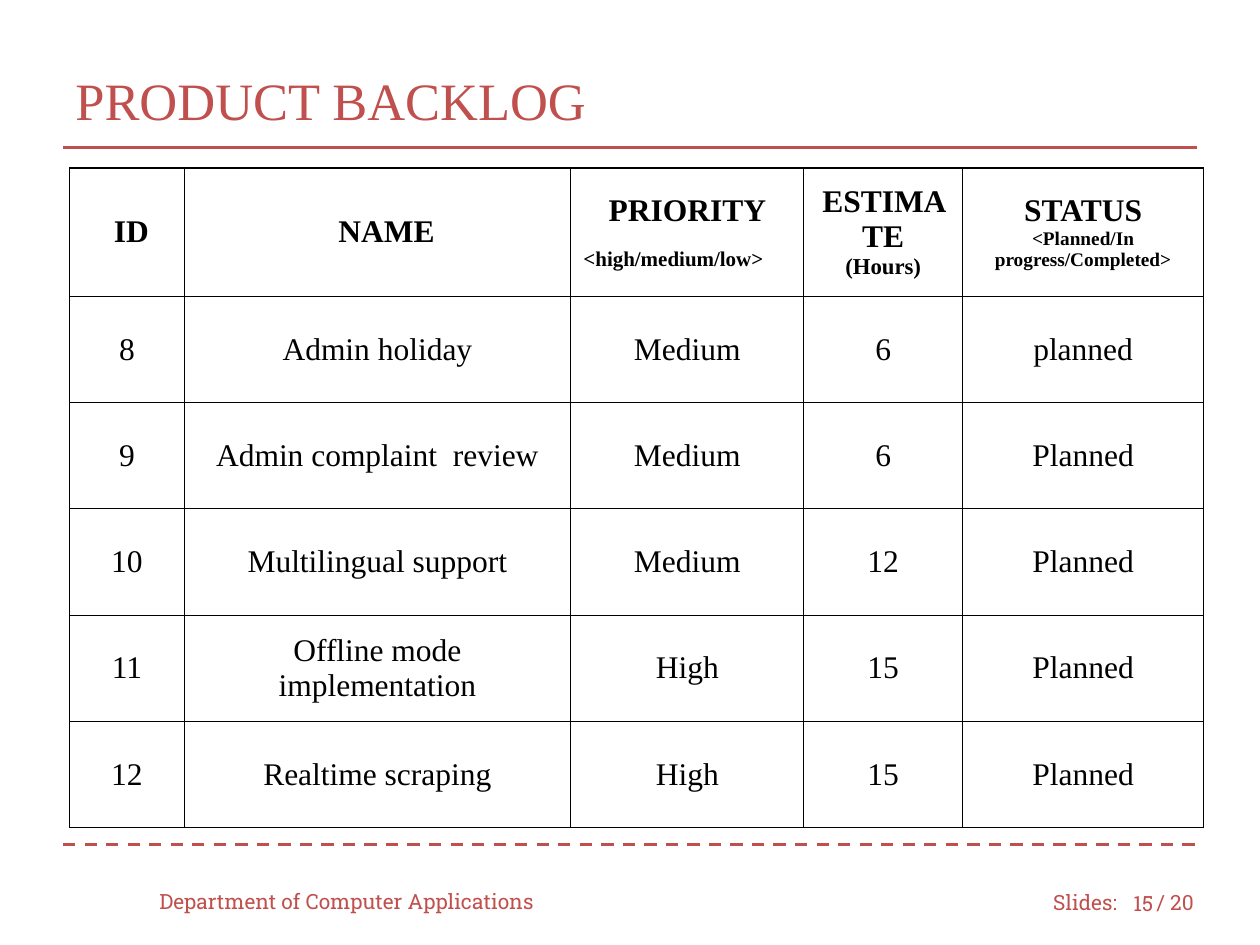
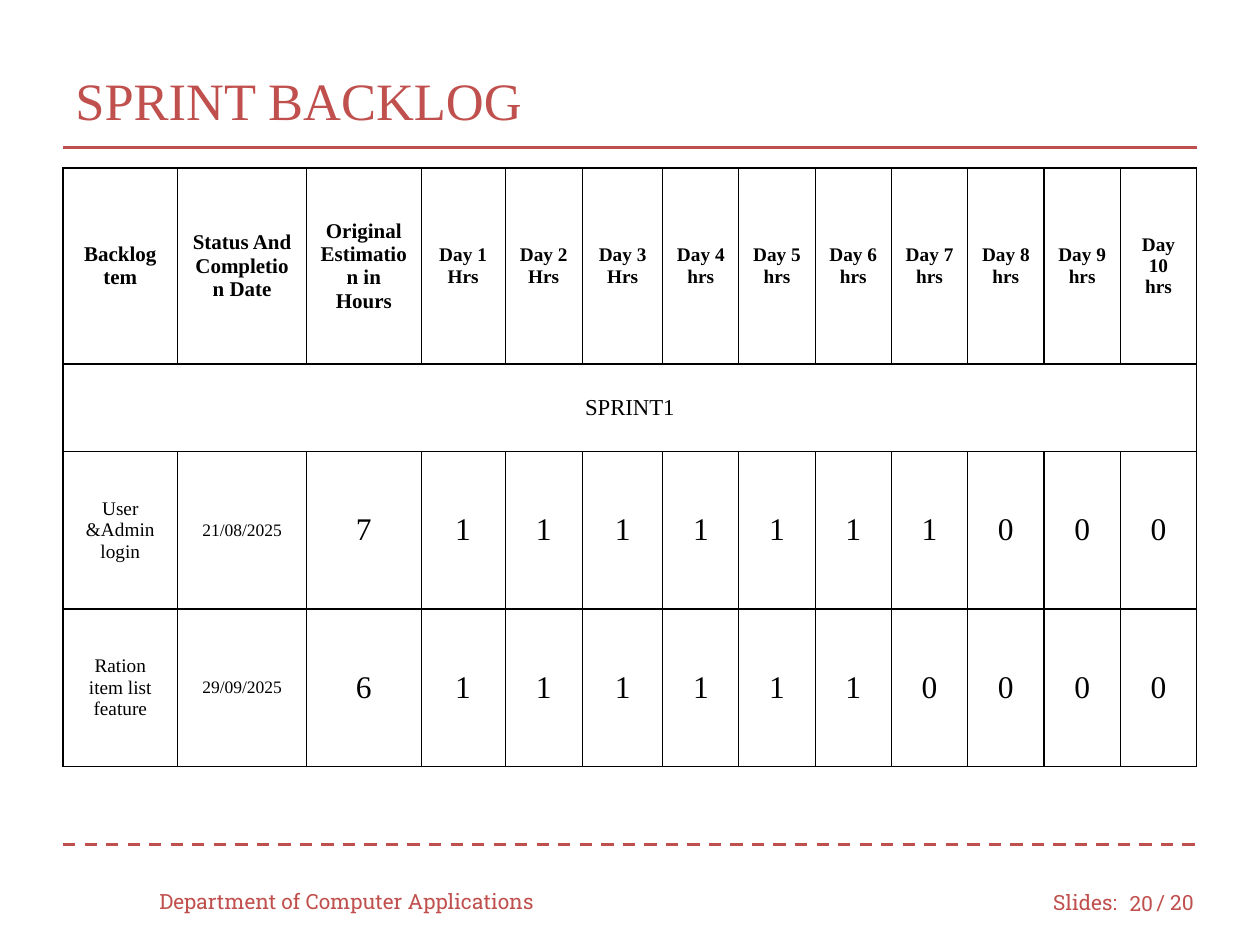
import pptx
import pptx.dml.color
import pptx.enum.dml
import pptx.enum.shapes
import pptx.enum.text
import pptx.oxml
import pptx.oxml.ns
import pptx.util
from lxml import etree

Pt = pptx.util.Pt
ALIGN = pptx.enum.text.PP_ALIGN
MIDDLE = pptx.enum.text.MSO_ANCHOR.MIDDLE

COLORS = {"accent": "C0504D", "ink": "000000", "paper": "FFFFFF"}
SERIF, SLAB = "Times New Roman", "Roboto Slab"
CELL_MARGIN = 7.2
BORDER_WIDTH = 0.75
PAGE_TOTAL = 20


def color(name):
    return pptx.dml.color.RGBColor.from_string(COLORS[name])


def add_text(frame, text, *, size, font=SERIF, ink="ink", bold=False,
             align=ALIGN.LEFT, space_before=0):
    """Write one paragraph, filling the empty first one before adding more."""
    first = frame.paragraphs[0]
    para = frame.add_paragraph() if first.runs else first
    para.alignment = align
    para.space_before = Pt(space_before)
    span = para.add_run()
    span.text = text
    span.font.name, span.font.size, span.font.bold = font, Pt(size), bold
    span.font.color.rgb = color(ink)


def add_box(page, text, left, top, width, height, **style):
    box = page.shapes.add_textbox(Pt(left), Pt(top), Pt(width), Pt(height))
    box.text_frame.word_wrap = True
    box.text_frame.vertical_anchor = MIDDLE
    add_text(box.text_frame, text, ink="accent", **style)


def add_rule(page, top, dashed=False):
    rule = page.shapes.add_connector(
        pptx.enum.shapes.MSO_CONNECTOR.STRAIGHT, Pt(36), Pt(top), Pt(684), Pt(top))
    rule.line.color.rgb = color("accent")
    rule.line.width = Pt(1.75)
    if dashed:
        rule.line.dash_style = pptx.enum.dml.MSO_LINE.DASH
    etree.SubElement(rule._element.spPr, pptx.oxml.ns.qn("a:effectLst"))


def add_page(deck, title, number):
    """Add a slide with its title, two rules and footer."""
    page = deck.slides.add_slide(deck.slide_layouts[6])
    add_rule(page, 84.2)
    add_rule(page, 482.4, dashed=True)
    add_box(page, title, 36, 24, 648, 66, size=30)
    footer = {"size": 12, "font": SLAB}
    add_box(page, "Department of Computer Applications", 84, 500.4, 240, 28.8, **footer)
    add_box(page, "Slides:", 594.7, 501, 54, 28.8, **footer)
    add_box(page, str(number), 635.8, 501.8, 30.2, 28.8, align=ALIGN.RIGHT, **footer)
    add_box(page, f"/ {PAGE_TOTAL}", 653.8, 501, 41.8, 28.8, **footer)
    return page


def style_cell(cell):
    """Give a cell black borders, a white fill and even margins."""
    properties = cell._tc.get_or_add_tcPr()
    for side in ("lnL", "lnR", "lnT", "lnB"):
        properties.append(pptx.oxml.parse_xml(
            f'<a:{side} {pptx.oxml.ns.nsdecls("a")} w="{Pt(BORDER_WIDTH)}">'
            f'<a:solidFill><a:srgbClr val="{COLORS["ink"]}"/></a:solidFill></a:{side}>'))
    cell.fill.solid()
    cell.fill.fore_color.rgb = color("paper")
    cell.vertical_anchor = MIDDLE
    cell.margin_left = cell.margin_right = Pt(CELL_MARGIN)
    cell.margin_top = cell.margin_bottom = Pt(CELL_MARGIN)


def add_grid(page, left, top, widths, heights):
    holder = page.shapes.add_table(len(heights), len(widths), Pt(left), Pt(top),
                                   Pt(sum(widths)), Pt(sum(heights)))
    grid = holder.table
    grid.first_row = grid.horz_banding = False
    for column, width in zip(grid.columns, widths):
        column.width = Pt(width)
    for row, height in zip(grid.rows, heights):
        row.height = Pt(height)
    for cell in grid.iter_cells():
        style_cell(cell)
    return grid


def fill_row(grid, row, texts, sizes, bold=False):
    """Write centred texts along a row; a newline starts a new paragraph."""
    for column, (text, size) in enumerate(zip(texts, sizes)):
        for line in text.split("\n"):
            add_text(grid.cell(row, column).text_frame, line, size=size,
                     bold=bold, align=ALIGN.CENTER)


def build_product_backlog(deck):
    page = add_page(deck, "PRODUCT BACKLOG", 15)
    items = [
        ("8", "Admin holiday", "Medium", "6", "planned"),
        ("9", "Admin complaint  review", "Medium", "6", "Planned"),
        ("10", "Multilingual support", "Medium", "12", "Planned"),
        ("11", "Offline mode implementation", "High", "15", "Planned"),
        ("12", "Realtime scraping", "High", "15", "Planned"),
    ]
    grid = add_grid(page, 39.9, 96, [65.3, 221, 133.2, 90.7, 137.8],
                    [68.6] + [60.75] * len(items))

    # Header: the first two headings are indented from the left
    for column, (heading, indent) in enumerate([("ID", 18), ("NAME", 81)]):
        cell = grid.cell(0, column)
        cell.margin_left = Pt(CELL_MARGIN + indent)
        add_text(cell.text_frame, heading, size=18, bold=True)
    headings = [
        ("PRIORITY", "<high/medium/low>", 12, ALIGN.LEFT, 11),
        ("ESTIMATE", "(Hours)", 13, ALIGN.CENTER, 0),
        ("STATUS", "<Planned/In progress/Completed>", 11, ALIGN.CENTER, 0),
    ]
    for column, (heading, hint, size, align, gap) in enumerate(headings, start=2):
        frame = grid.cell(0, column).text_frame
        add_text(frame, heading, size=18, bold=True, align=ALIGN.CENTER)
        add_text(frame, hint, size=size, bold=True, align=align, space_before=gap)

    # Backlog items
    for row, item in enumerate(items, start=1):
        fill_row(grid, row, item, [18] * len(item))


def build_sprint_backlog(deck):
    page = add_page(deck, "SPRINT BACKLOG", 20)
    day_count = 10
    widths = [65.5, 73.7, 65.5, 48, 44.2, 46, 43.4] + [43.6] * 6
    grid = add_grid(page, 36, 96, widths, [112, 50, 90, 90])

    # Header and sprint band
    days = [f"Day {day}\n{'Hrs' if day <= 3 else 'hrs'}"
            for day in range(1, day_count + 1)]
    headings = ["Backlog tem", "Status And Completion Date",
                "Original Estimation in Hours"]
    fill_row(grid, 0, headings + days, [12] * 3 + [11] * day_count, bold=True)
    grid.cell(1, 0).merge(grid.cell(1, len(widths) - 1))
    fill_row(grid, 1, ["SPRINT1"], [13])

    # One hour a day until the estimate is used up
    tasks = [("User &Admin login", "21/08/2025", 7),
             ("Ration item list feature", "29/09/2025", 6)]
    for row, (task, date, estimate) in enumerate(tasks, start=2):
        hours = ["1"] * estimate + ["0"] * (day_count - estimate)
        fill_row(grid, row, [task, date, str(estimate)] + hours,
                 [11, 10] + [18] * (day_count + 1))


def main():
    deck = pptx.Presentation()
    deck.slide_width, deck.slide_height = Pt(720), Pt(540)
    build_product_backlog(deck)
    build_sprint_backlog(deck)
    deck.save("out.pptx")


if __name__ == "__main__":
    main()
